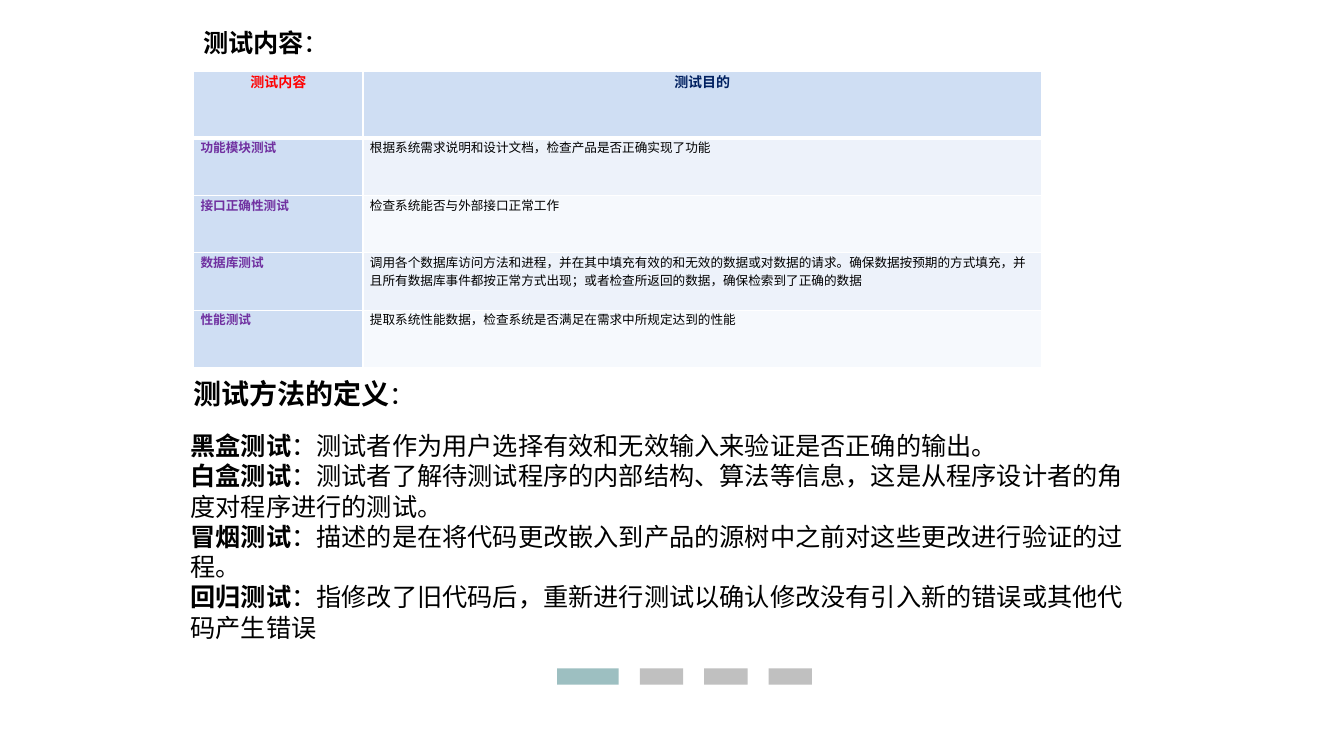
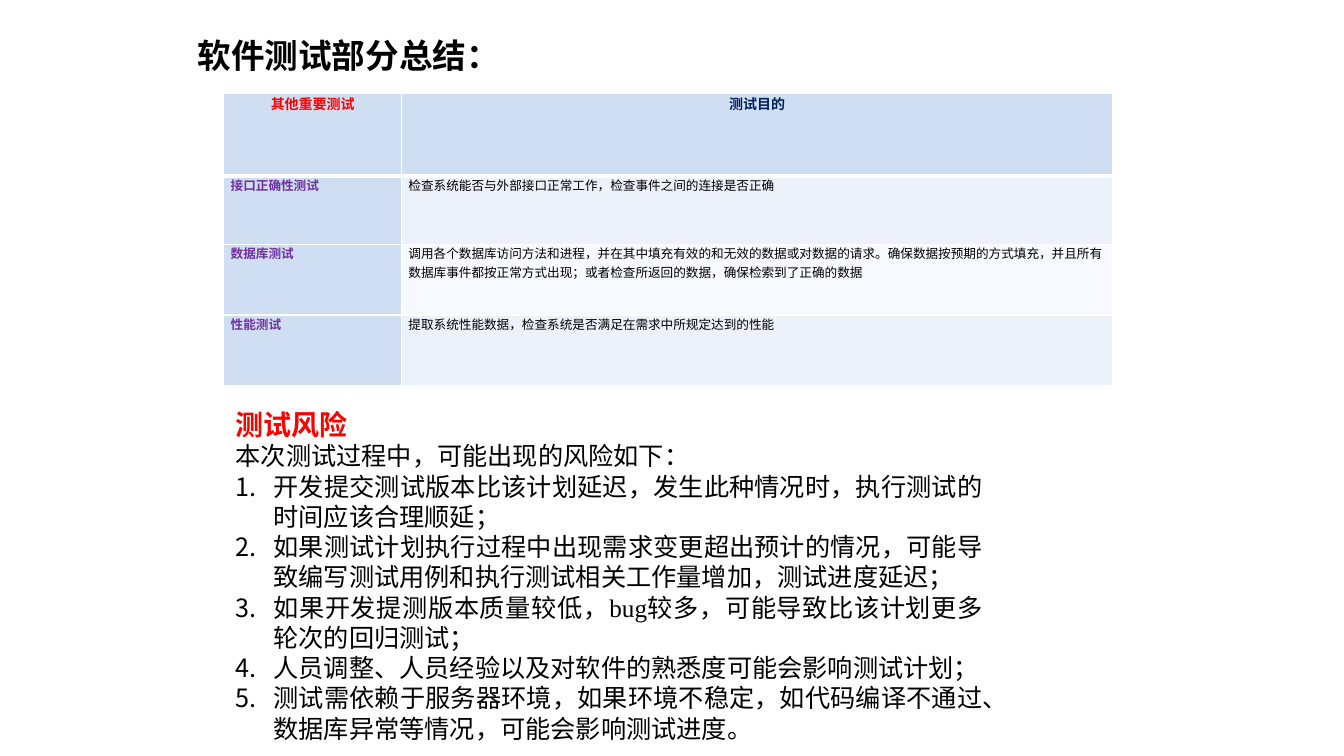
from lxml import etree
from pptx import Presentation
from pptx.dml.color import RGBColor
from pptx.enum.lang import MSO_LANGUAGE_ID
from pptx.enum.shapes import MSO_SHAPE
from pptx.enum.text import PP_ALIGN
from pptx.oxml.ns import qn
from pptx.util import Pt

RECT = MSO_SHAPE.RECTANGLE
CENTER, JUSTIFY = PP_ALIGN.CENTER, PP_ALIGN.JUSTIFY
CHINESE = MSO_LANGUAGE_ID.SIMPLIFIED_CHINESE

BLACK = RGBColor(0x00, 0x00, 0x00)
RED = RGBColor(0xFF, 0x00, 0x00)
NAVY = RGBColor(0x00, 0x20, 0x60)
PURPLE = RGBColor(0x70, 0x30, 0xA0)
TEAL = RGBColor(0x9D, 0xBF, 0xC1)
GRAY = RGBColor(0xC0, 0xC0, 0xC0)
WHITE = RGBColor(0xFF, 0xFF, 0xFF)
HEAD_FILL = RGBColor(0xCF, 0xDE, 0xF3)
BAND_FILLS = (RGBColor(0xED, 0xF2, 0xFA), RGBColor(0xF6, 0xF9, 0xFD))

SANS, SERIF = "Arial", "Times New Roman"
LINE_RATIO = 1.2

INTERFACE, DATABASE, PERFORMANCE = "接口正确性测试", "数据库测试", "性能测试"
DATABASE_GOAL = (
    "调用各个数据库访问方法和进程，并在其中填充有效的和无效的数据或对数据的请求。"
    "确保数据按预期的方式填充，并且所有数据库事件都按正常方式出现；"
    "或者检查所返回的数据，确保检索到了正确的数据"
)
PERFORMANCE_GOAL = "提取系统性能数据，检查系统是否满足在需求中所规定达到的性能"

CONTENT_ROWS = [
    ("测试内容", "测试目的"),
    ("功能模块测试", "根据系统需求说明和设计文档，检查产品是否正确实现了功能"),
    (INTERFACE, "检查系统能否与外部接口正常工作"),
    (DATABASE, DATABASE_GOAL),
    (PERFORMANCE, PERFORMANCE_GOAL),
]
SUMMARY_ROWS = [
    ("其他重要测试", "测试目的"),
    (INTERFACE, "检查系统能否与外部接口正常工作，检查事件之间的连接是否正确"),
    (DATABASE, DATABASE_GOAL),
    (PERFORMANCE, PERFORMANCE_GOAL),
]
METHODS = [
    ("黑盒测试", "：测试者作为用户选择有效和无效输入来验证是否正确的输出。"),
    ("白盒测试", "：测试者了解待测试程序的内部结构、算法等信息，这是从程序设计者的角度对程序进行的测试。"),
    ("冒烟测试", "：描述的是在将代码更改嵌入到产品的源树中之前对这些更改进行验证的过程。"),
    ("回归测试", "：指修改了旧代码后，重新进行测试以确认修改没有引入新的错误或其他代码产生错误"),
]
RISKS = [
    "开发提交测试版本比该计划延迟，发生此种情况时，执行测试的时间应该合理顺延；",
    "如果测试计划执行过程中出现需求变更超出预计的情况，可能导致编写测试用例和执行测试相关工作量增加，测试进度延迟；",
    "如果开发提测版本质量较低，bug较多，可能导致比该计划更多轮次的回归测试；",
    "人员调整、人员经验以及对软件的熟悉度可能会影响测试计划；",
    "测试需依赖于服务器环境，如果环境不稳定，如代码编译不通过、数据库异常等情况，可能会影响测试进度。",
]


def add_text(p, text, size=18, font=SANS, color=BLACK, bold=False):
    r = p.add_run()
    r.text = text
    r.font.size = Pt(size)
    r.font.name = font
    r.font.color.rgb = color
    r.font.bold = bold
    r.font.language_id = CHINESE


def add_box(slide, x, y, w, h, wrap=True):
    tf = slide.shapes.add_textbox(Pt(x), Pt(y), Pt(w), Pt(h)).text_frame
    tf.word_wrap = wrap
    return tf


def add_line(tf, size=18, align=None):
    p = tf.paragraphs[0]
    if p.runs:
        p = tf.add_paragraph()
    p.line_spacing = Pt(size * LINE_RATIO)
    p.alignment = align
    return p


def number_paragraph(p, indent):
    pPr = p._p.get_or_add_pPr()
    pPr.set("marL", str(Pt(indent)))
    pPr.set("indent", str(-Pt(indent)))
    etree.SubElement(pPr, qn("a:buFont")).set("typeface", SANS)
    etree.SubElement(pPr, qn("a:buAutoNum")).set("type", "arabicPeriod")


def set_borders(cell, bottom):
    tcPr = cell._tc.get_or_add_tcPr()
    for i, (side, width) in enumerate((("L", 1), ("R", 1), ("T", 1), ("B", bottom))):
        ln = etree.Element(qn(f"a:ln{side}"), w=str(Pt(width)))
        fill = etree.SubElement(ln, qn("a:solidFill"))
        etree.SubElement(fill, qn("a:srgbClr")).set("val", str(WHITE))
        tcPr.insert(i, ln)


def fill_cell(cell, text, row, col):
    header = row == 0
    cell.margin_left = cell.margin_right = Pt(5)
    cell.margin_top = cell.margin_bottom = 0
    cell.fill.solid()
    shaded = header or col == 0
    cell.fill.fore_color.rgb = HEAD_FILL if shaded else BAND_FILLS[(row - 1) % 2]
    set_borders(cell, 3 if header else 1)
    p = cell.text_frame.paragraphs[0]
    if header:
        p.alignment = CENTER
    colors = (RED, NAVY) if header else (PURPLE, BLACK)
    add_text(p, text, size=10 if header else 9, color=colors[col], bold=shaded)


def add_test_table(slide, x, y, widths, heights, rows):
    table = slide.shapes.add_table(
        len(rows), len(widths), Pt(x), Pt(y), Pt(sum(widths)), Pt(sum(heights))
    ).table
    for column, width in zip(table.columns, widths):
        column.width = Pt(width)
    for i, (height, texts) in enumerate(zip(heights, rows)):
        table.rows[i].height = Pt(height)
        for j, text in enumerate(texts):
            fill_cell(table.cell(i, j), text, i, j)


def add_progress_bar(slide, x, y, height, gap, steps):
    for width, color in steps:
        sp = slide.shapes.add_shape(RECT, Pt(x), Pt(y), Pt(width), Pt(height))
        sp.shadow.inherit = False
        sp.fill.solid()
        sp.fill.fore_color.rgb = color
        sp.line.fill.background()
        x += width + gap


def build_content_slide(slide):
    add_progress_bar(slide, 398, 477.5, 11.5, 15, [(44, TEAL)] + [(31, GRAY)] * 3)

    p = add_line(add_box(slide, 138, 16, 106, 29, wrap=False))
    add_text(p, "测试内容", bold=True)
    add_text(p, "：")

    add_test_table(slide, 138.3, 51.1, (121, 484.5), [47.5] + [41] * 4, CONTENT_ROWS)

    p = add_line(add_box(slide, 131, 265.7, 273, 32), size=20)
    add_text(p, "测试方法的定义", size=20, bold=True)
    add_text(p, "：")

    tf = add_box(slide, 129, 304, 686, 160)
    for name, meaning in METHODS:
        p = add_line(tf)
        add_text(p, name, bold=True)
        add_text(p, meaning)


def build_summary_slide(slide):
    p = add_line(add_box(slide, 134, 21.6, 234, 36.5, wrap=False), size=24)
    add_text(p, "软件测试部分总结：", size=24, bold=True)

    add_test_table(slide, 159.8, 66.5, (127, 508), (59, 49, 50.5, 50.5), SUMMARY_ROWS)

    tf = add_box(slide, 161.3, 287.3, 548, 259)
    add_text(add_line(tf, size=20, align=JUSTIFY), "测试风险",
             size=20, font=SERIF, color=RED, bold=True)
    add_text(add_line(tf, align=JUSTIFY), "本次测试过程中，可能出现的风险如下：", font=SERIF)
    for risk in RISKS:
        p = add_line(tf, align=JUSTIFY)
        number_paragraph(p, 27)
        add_text(p, risk, font=SERIF)


def main():
    prs = Presentation()
    prs.slide_width, prs.slide_height = Pt(960), Pt(540)
    blank = prs.slide_layouts[6]
    for build in (build_content_slide, build_summary_slide):
        build(prs.slides.add_slide(blank))
    prs.save("out.pptx")


if __name__ == "__main__":
    main()
